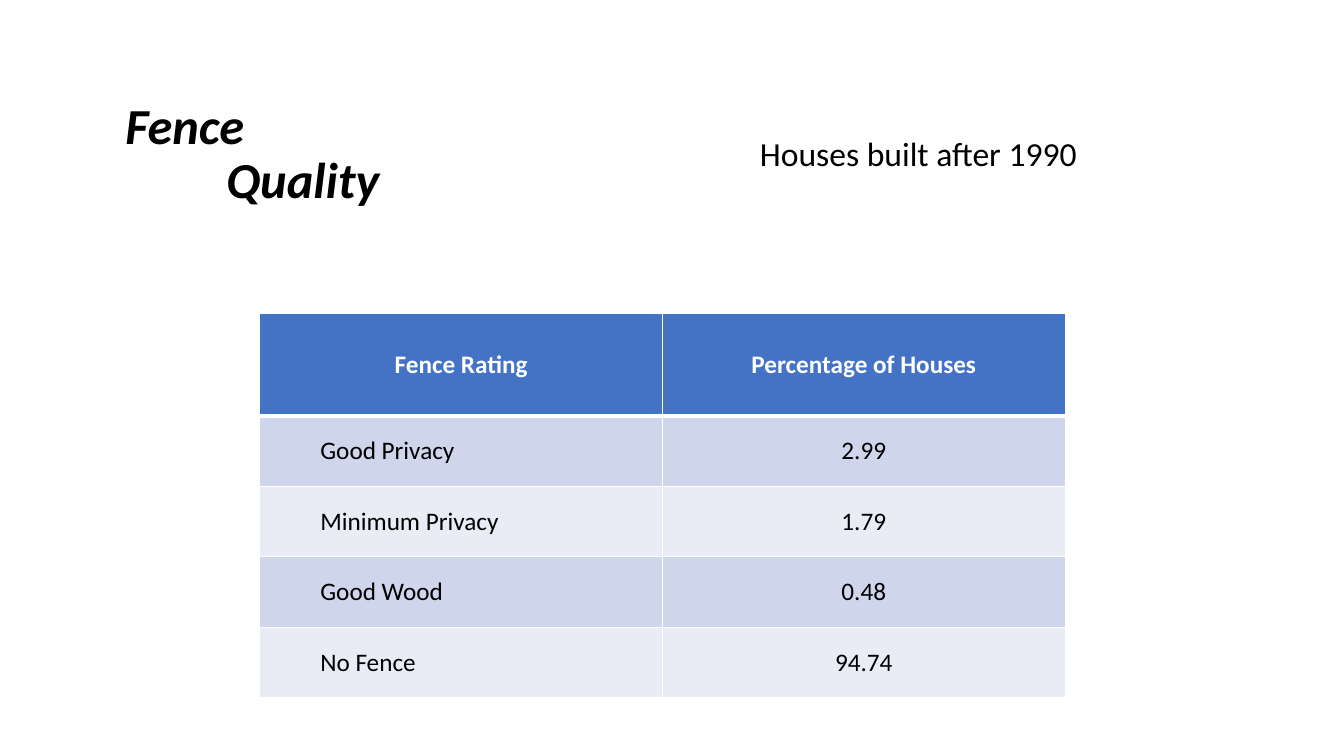
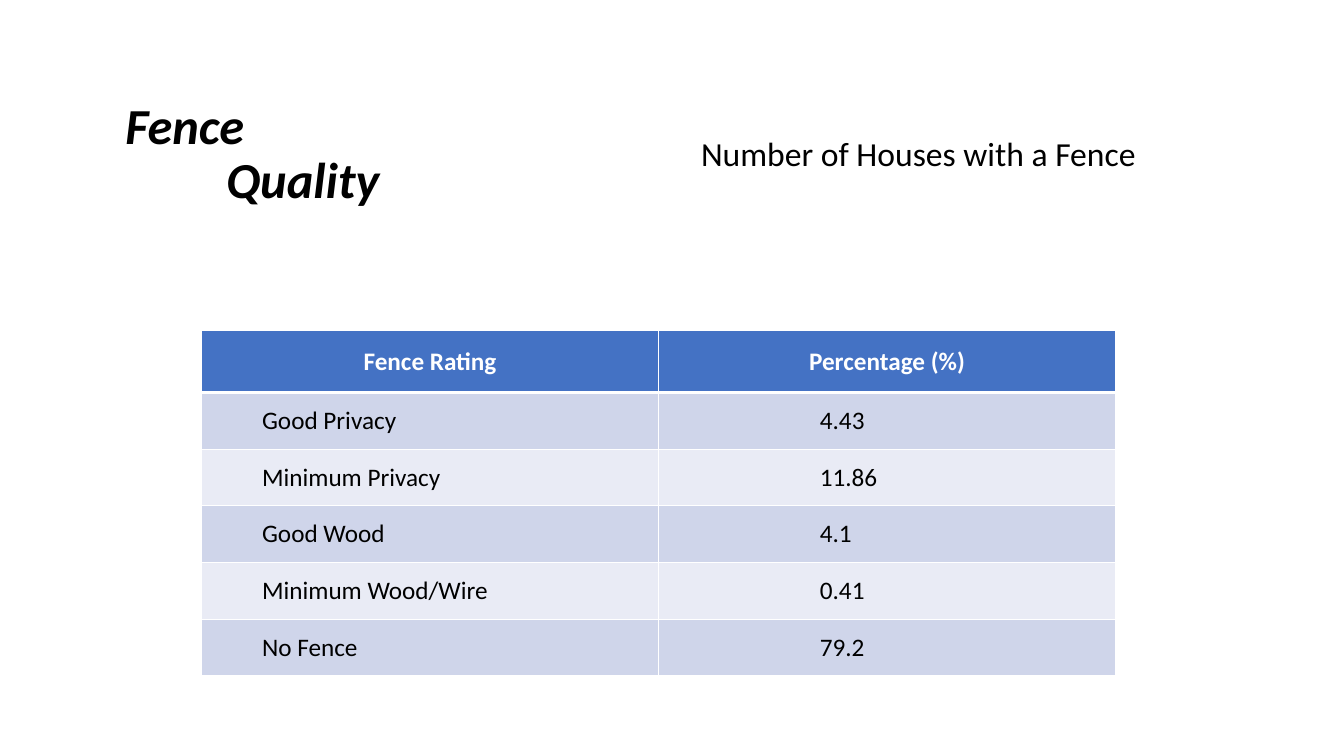
"""Build two slides of fence rating tables."""
from dataclasses import dataclass

from lxml import etree
from pptx import Presentation, util as u
from pptx.dml.color import RGBColor
from pptx.enum import text
from pptx.oxml.ns import qn

SLIDE_WIDTH, SLIDE_HEIGHT = u.Inches(13.33), u.Inches(7.5)
GRID = 12
FONT = "Calibri"
BLACK, WHITE, HEADER_BLUE = "000000", "FFFFFF", "4472C4"
BANDS = ("CFD5EA", "E9EBF5")
LABEL_INDENT = 0.5
TITLE_INDENT = 1.0


@dataclass(frozen=True)
class Box:
    left: float
    top: float
    width: float
    height: float


@dataclass(frozen=True)
class Line:
    words: str
    size: int
    color: str = BLACK
    bold: bool = False
    italic: bool = False
    centred: bool = False
    indent: float = 0


@dataclass(frozen=True)
class RatingSlide:
    subtitle: str
    left: float
    top: float
    width: float
    header_height: float
    row_height: float
    headings: tuple[str, str]
    ratings: tuple[tuple[str, str], ...]
    value_indent: float = 0


TITLE_BOX = Box(1.03, 1.12, 3.56, 2.69)
SUBTITLE_BOX = Box(5.22, 1.12, 5.96, 2.69)
TITLE = [
    Line("Fence", 36, bold=True, italic=True),
    Line("Quality", 36, bold=True, italic=True, indent=TITLE_INDENT),
]
SLIDES = (
    RatingSlide(
        "Houses built after 1990", 2.32, 4.98, 7.19, 1.62, 1.12,
        ("Fence Rating", "Percentage of Houses"),
        (("Good Privacy", "2.99"), ("Minimum Privacy", "1.79"),
         ("Good Wood", "0.48"), ("No Fence", "94.74")),
    ),
    RatingSlide(
        "Number of Houses with a Fence", 1.8, 5.25, 8.16, 0.98, 0.9,
        ("Fence Rating", "Percentage (%)"),
        (("Good Privacy", "4.43"), ("Minimum Privacy", "11.86"),
         ("Good Wood", "4.1"), ("Minimum Wood/Wire", "0.41"),
         ("No Fence", "79.2")),
        value_indent=1.5,
    ),
)


def columns(count: float) -> int:
    return round(SLIDE_WIDTH * count / GRID)


def rows(count: float) -> int:
    return round(SLIDE_HEIGHT * count / GRID)


def rgb(color: str) -> RGBColor:
    return RGBColor.from_string(color)


def write_line(paragraph, line: Line) -> None:
    paragraph.text = line.words
    paragraph.alignment = text.PP_ALIGN.CENTER if line.centred else text.PP_ALIGN.LEFT
    if line.indent:
        paragraph._p.get_or_add_pPr().set("marL", str(u.Inches(line.indent)))
    font = paragraph.font
    font.name, font.size = FONT, u.Pt(line.size)
    font.bold, font.italic = line.bold, line.italic
    font.color.rgb = rgb(line.color)


def add_text(slide, box: Box, lines: list[Line]) -> None:
    shape = slide.shapes.add_textbox(
        columns(box.left), rows(box.top), columns(box.width), rows(box.height))
    frame = shape.text_frame
    frame.word_wrap = True
    frame.vertical_anchor = text.MSO_ANCHOR.MIDDLE
    for index, line in enumerate(lines):
        paragraph = frame.add_paragraph() if index else frame.paragraphs[0]
        write_line(paragraph, line)
        paragraph.line_spacing = 0.9


def add_borders(cell, top: int, bottom: int) -> None:
    properties = cell._tc.get_or_add_tcPr()
    for side, points in (("L", 1), ("R", 1), ("T", top), ("B", bottom)):
        border = etree.SubElement(properties, qn(f"a:ln{side}"), w=str(u.Pt(points)))
        fill = etree.SubElement(border, qn("a:solidFill"))
        etree.SubElement(fill, qn("a:srgbClr"), val=WHITE)


def fill_cell(cell, line: Line, row: int) -> None:
    add_borders(cell, 3 if row == 1 else 1, 3 if row == 0 else 1)
    cell.fill.solid()
    cell.fill.fore_color.rgb = rgb(BANDS[(row - 1) % 2] if row else HEADER_BLUE)
    cell.vertical_anchor = text.MSO_ANCHOR.MIDDLE
    write_line(cell.text_frame.paragraphs[0], line)


def add_rating_table(slide, content: RatingSlide) -> None:
    count = len(content.ratings)
    table = slide.shapes.add_table(
        count + 1, 2, columns(content.left), rows(content.top), columns(content.width),
        rows(content.header_height + count * content.row_height)).table
    for index, table_row in enumerate(table.rows):
        table_row.height = rows(content.row_height if index else content.header_height)
    for column, heading in enumerate(content.headings):
        fill_cell(table.cell(0, column),
                  Line(heading, 18, WHITE, bold=True, centred=True), 0)
    for row, (label, value) in enumerate(content.ratings, start=1):
        fill_cell(table.cell(row, 0), Line(label, 18, indent=LABEL_INDENT), row)
        fill_cell(table.cell(row, 1),
                  Line(value, 18, centred=not content.value_indent,
                       indent=content.value_indent), row)


def main() -> None:
    presentation = Presentation()
    presentation.slide_width, presentation.slide_height = SLIDE_WIDTH, SLIDE_HEIGHT
    for content in SLIDES:
        slide = presentation.slides.add_slide(presentation.slide_layouts[6])
        add_text(slide, TITLE_BOX, TITLE)
        add_text(slide, SUBTITLE_BOX, [Line(content.subtitle, 24, centred=True)])
        add_rating_table(slide, content)
    presentation.save("out.pptx")


if __name__ == "__main__":
    main()
